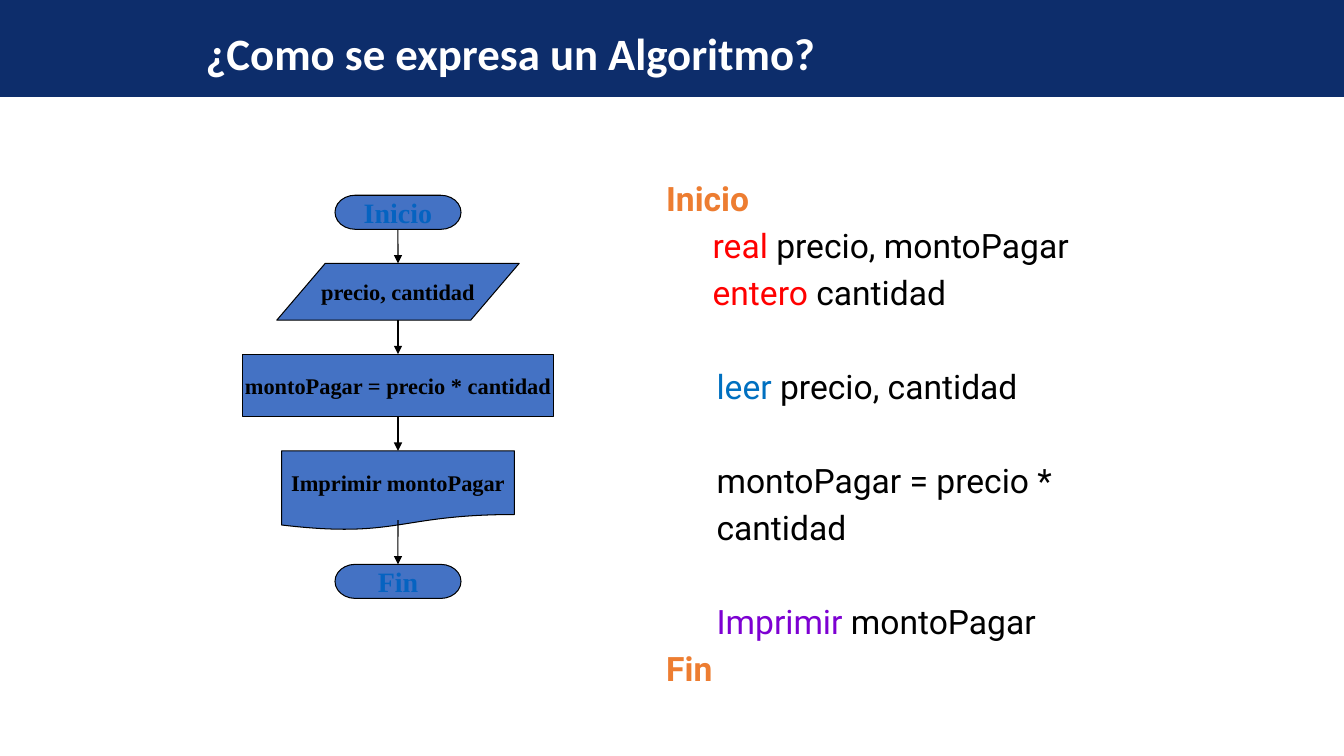
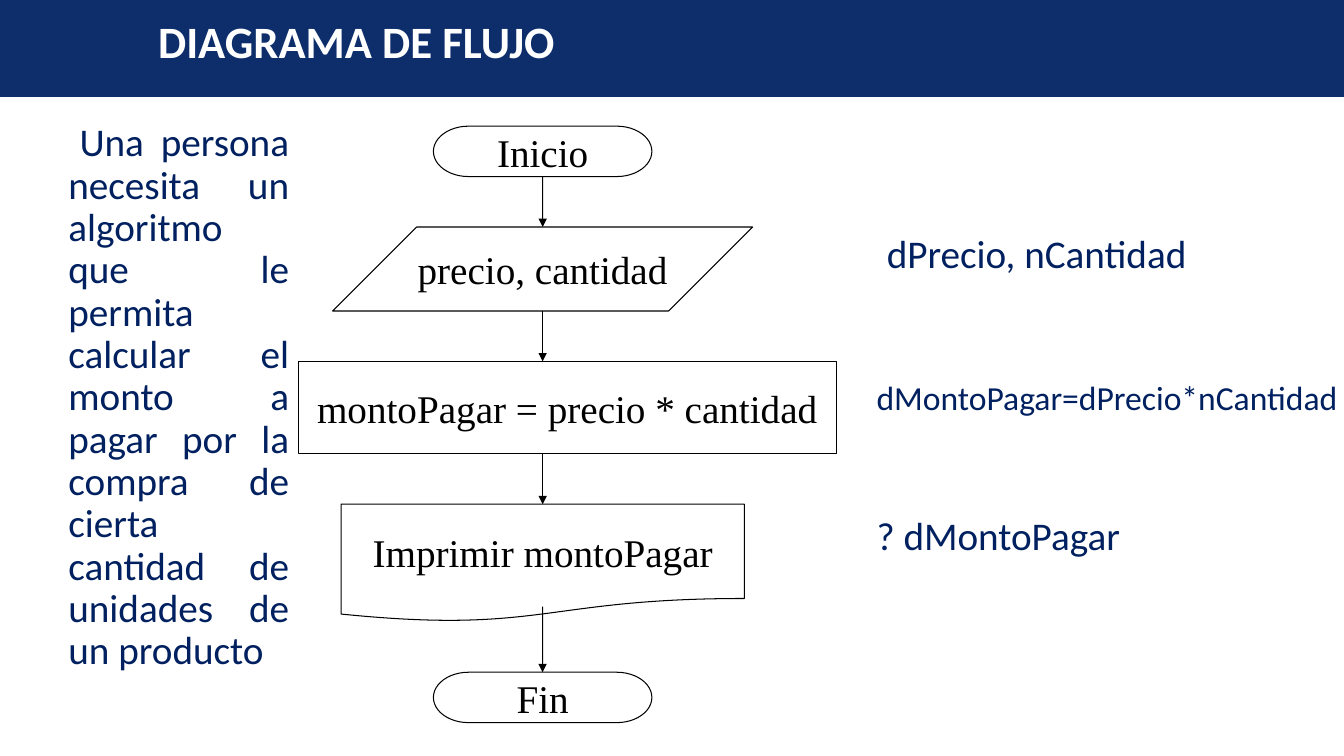
from lxml.etree import SubElement
from pptx import Presentation
from pptx.dml.color import RGBColor
from pptx.enum.shapes import MSO_CONNECTOR as Connector
from pptx.enum.shapes import MSO_SHAPE as Shape
from pptx.enum.text import MSO_ANCHOR as Anchor
from pptx.enum.text import MSO_AUTO_SIZE as AutoSize
from pptx.enum.text import PP_ALIGN as Align
from pptx.oxml.ns import qn
from pptx.util import Cm, Pt

# All boxes are (left, top, width, height) in centimetres.
PAGE_WIDTH, PAGE_HEIGHT = 33.87, 19.05
BAND_HEIGHT = 2.44
BAND, WHITE, BLACK = "0D2D6B", "FFFFFF", "000000"
NAVY, ORANGE, RED = "002060", "ED7D31", "FF0000"
BLUE, PURPLE = "0070C0", "7D00D2"
STEP_FILL, LINK_BLUE = "4472C4", "0563C1"

# Flowchart steps in grid units: kind, text, width, height
STEPS = [
    (Shape.FLOWCHART_TERMINATOR, "Inicio", 26, 6),
    (Shape.FLOWCHART_DATA, "precio, cantidad", 50, 10),
    (Shape.FLOWCHART_PROCESS, "montoPagar = precio * cantidad", 64, 11),
    (Shape.FLOWCHART_DOCUMENT, "Imprimir montoPagar", 48, 14),
    (Shape.FLOWCHART_TERMINATOR, "Fin", 26, 6),
]
STEP_GAP = 6
DOCUMENT_EXIT = 1.8  # the arrow leaves this far above the document's bottom
GRID_WIDTH = max(step[2] for step in STEPS)
GRID_HEIGHT = sum(step[3] for step in STEPS) + STEP_GAP * (len(STEPS) - 1)

CODE_PITCH = 33.6
# Pseudocode: indent in cm, blank lines before, coloured spans
CODE = [
    (0, 0, [("Inicio", ORANGE)]),
    (1.17, 0, [("real", RED), (" precio, montoPagar", BLACK)]),
    (1.17, 0, [("entero", RED), (" cantidad", BLACK)]),
    (1.27, 1, [("leer", BLUE), (" precio, cantidad", BLACK)]),
    (1.27, 1, [("montoPagar = precio * cantidad", BLACK)]),
    (1.27, 1, [("Imprimir ", PURPLE), ("montoPagar", BLACK)]),
    (0, 0, [("Fin", ORANGE)]),
]

PROBLEM = ("Una persona necesita un algoritmo que le permita calcular el monto "
           "a pagar por la compra de cierta cantidad de unidades de un producto")
# Labels: box, text, size, indent in cm, line spacing
LABELS = [
    ((21.11, 5.89, 10.31, 1.57), "dPrecio, nCantidad", 28, 0.99, 0.8),
    ((21.54, 9.5, 12.33, 1.57), "dMontoPagar=dPrecio*nCantidad", 24, 0.3, 0.9),
    ((21.54, 12.98, 10.31, 1.57), "? dMontoPagar", 28, 0.3, 0.8),
]


def color(value):
    return RGBColor.from_string(value)


def cm(box):
    return [Cm(value) for value in box]


def place(shape, box):
    shape.left, shape.top, shape.width, shape.height = cm(box)


def set_font(font, name, size, ink=None, bold=False):
    font.name, font.size, font.bold = name, Pt(size), bold
    if ink:
        font.color.rgb = color(ink)


def indent(para, left, first=0):
    """Indent a paragraph and switch its bullet off."""
    props = para._p.get_or_add_pPr()
    props.set("marL", str(Cm(left)))
    props.set("indent", str(Cm(first)))
    SubElement(props, qn("a:buNone"))


def add_master_band(deck, page):
    """Draw the band on a page, then move it behind everything on the master."""
    band = page.shapes.add_shape(Shape.RECTANGLE,
                                 *cm((0, 0, PAGE_WIDTH, BAND_HEIGHT)))
    band.shadow.inherit = False
    band.fill.solid()
    band.fill.fore_color.rgb = color(BAND)
    band.line.fill.background()
    deck.slide_master.shapes._spTree.insert(2, band._element)


def set_title(page, text, box):
    title = page.shapes.title
    place(title, box)
    frame = title.text_frame
    frame.text = text
    frame.auto_size = AutoSize.NONE
    frame.vertical_anchor = Anchor.MIDDLE
    para = frame.paragraphs[0]
    para.alignment = Align.LEFT
    para.line_spacing = 0.9
    set_font(para.font, "Calibri", 32, WHITE, True)


def add_step(page, kind, text, box, fill, ink, size, bold):
    step = page.shapes.add_shape(kind, *cm(box))
    step.shadow.inherit = False
    if fill:
        step.fill.solid()
        step.fill.fore_color.rgb = color(fill)
    else:
        step.fill.background()
    step.line.color.rgb = color(BLACK)
    step.line.width = Pt(0.75)
    frame = step.text_frame
    frame.text = text
    frame.word_wrap = False
    frame.vertical_anchor = Anchor.MIDDLE
    frame.margin_left = frame.margin_right = 0
    frame.margin_top = frame.margin_bottom = 0
    para = frame.paragraphs[0]
    para.alignment = Align.CENTER
    set_font(para.font, "Times New Roman", size, ink, bold)
    return step


def add_arrow(page, x, start, end):
    arrow = page.shapes.add_connector(Connector.STRAIGHT,
                                      *cm((x, start, x, end)))
    arrow.line.color.rgb = color(BLACK)
    arrow.line.width = Pt(0.75)
    SubElement(arrow.line._get_or_add_ln(), qn("a:tailEnd"), type="triangle")
    SubElement(arrow._element.spPr, qn("a:effectLst"))
    return arrow


def add_flowchart(page, box, sizes, fill=None, end_ink=BLACK, bold=False,
                  process_shift=0):
    """Stack the steps in the box; sizes are for the ends and the other steps."""
    left, top, width, height = box
    unit_x, unit_y = width / GRID_WIDTH, height / GRID_HEIGHT
    center = left + width / 2
    previous, exit_y = None, 0
    for kind, text, columns, rows in STEPS:
        is_end = kind == Shape.FLOWCHART_TERMINATOR
        is_process = kind == Shape.FLOWCHART_PROCESS
        is_document = kind == Shape.FLOWCHART_DOCUMENT
        step_width, step_height = columns * unit_x, rows * unit_y
        shift = process_shift if is_process else 0
        step = add_step(
            page, kind, text,
            (center - step_width / 2 + shift, top, step_width, step_height),
            fill, end_ink if is_end else BLACK,
            sizes[0] if is_end else sizes[1], bold)
        joins_top = kind != Shape.FLOWCHART_DATA and not shift
        if exit_y:
            arrow = add_arrow(page, center, exit_y, top)
            if previous:
                arrow.begin_connect(previous, 2)
            if joins_top:
                arrow.end_connect(step, 0)
        previous = step if joins_top and not is_document else None
        exit_y = top + step_height
        if is_document:
            exit_y -= DOCUMENT_EXIT * unit_y
        top += step_height + STEP_GAP * unit_y


def add_code(page, box):
    frame = page.shapes.add_textbox(*cm(box)).text_frame
    frame.word_wrap = True
    for number, (left, blanks, spans) in enumerate(CODE):
        para = frame.add_paragraph() if number else frame.paragraphs[0]
        para.line_spacing = Pt(CODE_PITCH)
        para.space_before = Pt(CODE_PITCH * blanks)
        indent(para, left)
        set_font(para.font, "Roboto", 24, bold=spans[0][1] == ORANGE)
        for text, ink in spans:
            span = para.add_run()
            span.text = text
            span.font.color.rgb = color(ink)


def fill_text(shape, text, size, alignment, spacing, left, first=0):
    frame = shape.text_frame
    frame.text = text
    frame.word_wrap = True
    frame.auto_size = AutoSize.NONE
    para = frame.paragraphs[0]
    para.alignment = alignment
    para.line_spacing = spacing
    para.space_before = Pt(10)
    indent(para, left, first)
    set_font(para.font, "Calibri", size, NAVY)


def add_problem(page, box):
    body = page.placeholders[1]
    place(body, box)
    fill_text(body, PROBLEM, 28, Align.JUSTIFY, 0.9, 1.27, 0.28)


def add_labels(page):
    for box, text, size, left, spacing in LABELS:
        label = page.shapes.add_textbox(*cm(box))
        label.text_frame.margin_right = 0
        fill_text(label, text, size, Align.LEFT, spacing, left)


def build_expression_page(page):
    set_title(page, "¿Como se expresa un Algoritmo?", (4.93, 0.38, 27.28, 2.06))
    add_flowchart(page, (6.12, 4.92, 7.82, 10.16), (20, 16), STEP_FILL,
                  LINK_BLUE, True)
    add_code(page, (16.54, 4.19, 13.69, 12.4))


def build_diagram_page(page):
    set_title(page, "DIAGRAMA DE FLUJO", (3.73, 0.38, 21.59, 1.47))
    add_flowchart(page, (6.9, 3.18, 13.55, 15.03), (28, 28), process_shift=0.62)
    add_problem(page, (0.2, 2.97, 7.34, 15.21))
    add_labels(page)


def main():
    deck = Presentation()
    deck.slide_width, deck.slide_height = Cm(PAGE_WIDTH), Cm(PAGE_HEIGHT)
    title_only, title_and_body = deck.slide_layouts[5], deck.slide_layouts[1]
    first = deck.slides.add_slide(title_only)
    add_master_band(deck, first)
    build_expression_page(first)
    build_diagram_page(deck.slides.add_slide(title_and_body))
    deck.save("out.pptx")


if __name__ == "__main__":
    main()
